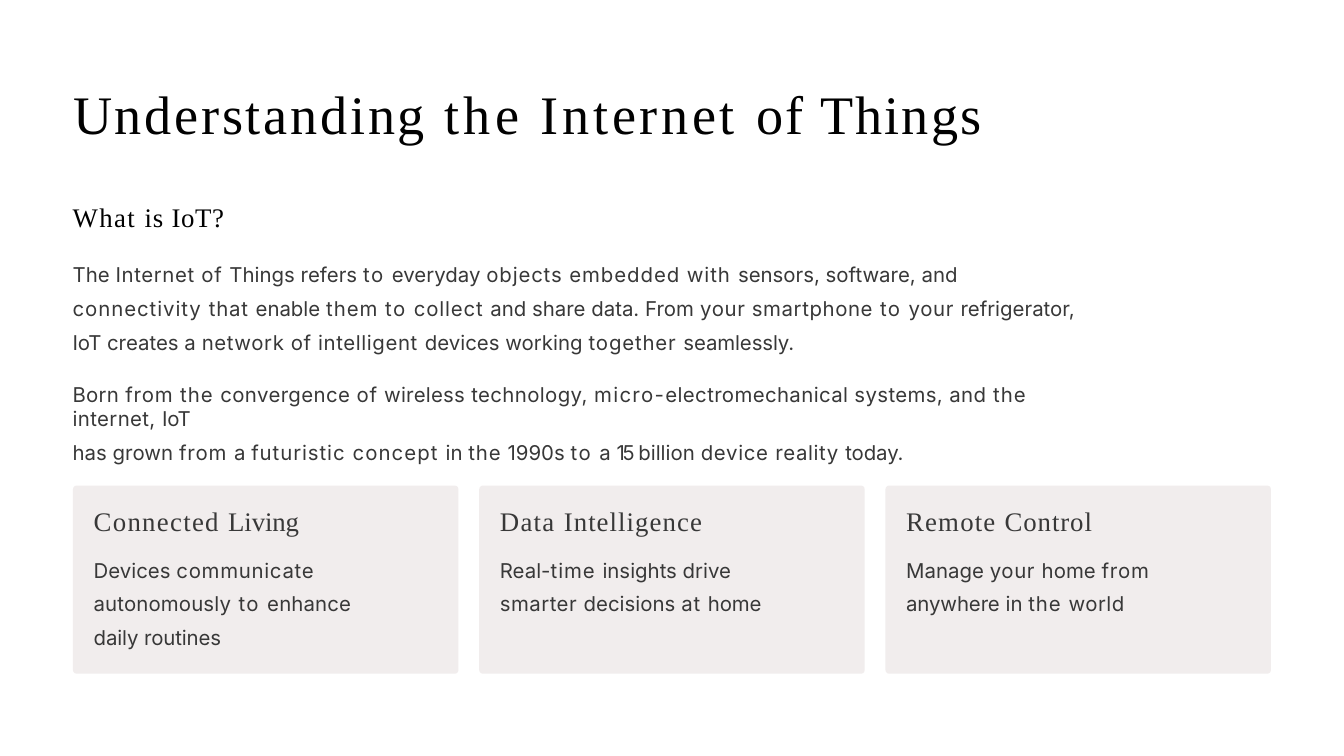
from pptx import Presentation
from pptx.dml.color import RGBColor
from pptx.enum.shapes import MSO_SHAPE as Shape
from pptx.enum.text import MSO_AUTO_SIZE as AutoSize
from pptx.util import Pt

BLACK = RGBColor(0x01, 0x01, 0x01)
GREY = RGBColor(0x38, 0x38, 0x38)
CARD_FILL = RGBColor(0xF1, 0xED, 0xED)
SERIF, SANS = "Times New Roman", "Inter"

# Each paragraph is a list of (words, letter spacing in points).
TITLE = [("Understanding ", 2.4), ("the ", 3.5), ("Internet ", 3.2), ("of ", 1.4), ("Things", 1.9)]
QUESTION = [("What ", 1.2), ("is ", 0.7), ("IoT?", 0.5)]
DEFINITION = [
    ("The ", 0), ("Internet ", 0.5), ("of ", 0.7), ("Things refers ", 0), ("to ", 1.2),
    ("everyday ", 0), ("objects ", 0.7), ("embedded with ", 0.8),
    ("sensors, software, and ", 0), ("connectivity ", 0.8), ("that ", 0.7), ("enable ", 0),
    ("them ", 0.8), ("to ", 1.2), ("collect ", 0.7), ("and share data. From ", 0),
    ("your smartphone ", 0.5), ("to ", 1.2), ("your ", 0.5), ("refrigerator, ", 0),
    ("IoT ", -0.2), ("creates a ", 0), ("network of intelligent ", 0.5),
    ("devices working ", 0), ("together ", 0.7), ("seamlessly.", -0.1),
]
ORIGIN = [
    ("Born ", 0.2), ("from ", 0.7), ("the ", 0.8), ("convergence ", 0.3), ("of", 0.7),
    (" wireless ", 0.2), ("technology, ", 0.3), ("micro-", 1.1),
    ("electromechanical systems, and ", 0.3), ("the ", 0.8), ("internet, ", 0.3), ("IoT", -0.2),
]
GROWTH = [
    ("has grown ", 0), ("from ", 0.7), ("a ", 0), ("futuristic ", 0.8), ("concept ", 0.9),
    ("in ", 0), ("the", 0.8), (" 1990s ", 0), ("to ", 1.2), ("a ", 0), ("15 ", -1.9),
    ("billion ", 0), ("device ", 0.6), ("reality ", 0.5), ("today.", -0.1),
]
# Heading, description, text width
CARDS = [
    ([("Connected ", 1.1), ("Living", -0.1)],
     [("Devices ", 0), ("communicate ", 0.6), ("autonomously", 0.1), (" to ", 1.2),
      ("enhance ", 0.1), ("daily routines", -0.1)], 256.3),
    ([("Data ", 1.1), ("Intelligence", 0.9)],
     [("Real-", 0), ("time ", 0.8), ("insights drive ", 0), ("smarter ", 0.4),
      ("decisions ", 0), ("at ", 0.8), ("home", -0.2)], 261.4),
    ([("Remote ", 1), ("Control", 0.8)],
     [("Manage ", 0), ("your ", 0.5), ("home ", 0), ("from ", 0.7), ("anywhere ", -0.1),
      ("in ", 0), ("the ", 0.8), ("world", 0.4)], 283.7),
]


def add_frame(slide, left, top, width, height, inset_left=0.9, inset_top=0.7):
    box = slide.shapes.add_textbox(Pt(left), Pt(top), Pt(width), Pt(height))
    frame = box.text_frame
    frame.word_wrap = True
    frame.auto_size = AutoSize.SHAPE_TO_FIT_TEXT
    frame.margin_left, frame.margin_top = Pt(inset_left), Pt(inset_top)
    frame.margin_right = frame.margin_bottom = 0
    return frame


def write(frame, words, size=17.5, font=SANS, color=GREY, before=0, line=1.0):
    """Fill the frame's first paragraph, or append one when it has text."""
    paragraph = frame.add_paragraph() if frame.text else frame.paragraphs[0]
    paragraph.space_before = Pt(before)
    paragraph.line_spacing = line
    for text, spacing in words:
        run = paragraph.add_run()
        run.text = text
        run.font.size = Pt(size)
        run.font.name = font
        run.font.color.rgb = color
        run._r.get_or_add_rPr().set("spc", str(round(spacing * 100)))


def add_title(slide, left, top, width, height):
    frame = add_frame(slide, left, top, width, height, inset_left=7.9, inset_top=24.5)
    write(frame, TITLE, size=46.5, font=SERIF, color=BLACK, before=1.1)


def add_introduction(slide, left, top, width, height):
    frame = add_frame(slide, left, top, width, height)
    write(frame, QUESTION, size=23, font=SERIF, color=BLACK, before=1.1)
    write(frame, DEFINITION, before=17, line=1.38)
    write(frame, ORIGIN, before=23.8)
    write(frame, GROWTH, before=8.1)


def add_card(slide, left, top, width, height, heading, description, text_width):
    card = slide.shapes.add_shape(Shape.ROUNDED_RECTANGLE, Pt(left), Pt(top), Pt(width), Pt(height))
    card.adjustments[0] = 0.02
    card.shadow.inherit = False
    card.fill.solid()
    card.fill.fore_color.rgb = CARD_FILL
    card.line.fill.background()
    frame = add_frame(slide, left + 16.8, top + 15.8, text_width, height - 35)
    write(frame, heading, size=23, font=SERIF, before=1)
    write(frame, description, before=9.9, line=1.38)


def add_cards(slide, left, top, width, height, gap=17.8):
    card_width = (width - gap * (len(CARDS) - 1)) / len(CARDS)
    for index, card in enumerate(CARDS):
        add_card(slide, left + index * (card_width + gap), top, card_width, height, *card)


def main():
    deck = Presentation()
    deck.slide_width, deck.slide_height = Pt(1152), Pt(648)
    slide = deck.slides.add_slide(deck.slide_layouts[6])
    add_title(slide, 54.7, 43.9, 912.2, 95)
    add_introduction(slide, 61.4, 171.4, 866.2, 206.6)
    add_cards(slide, 62.6, 416.2, 1026.8, 161.3)
    deck.save("out.pptx")


if __name__ == "__main__":
    main()
